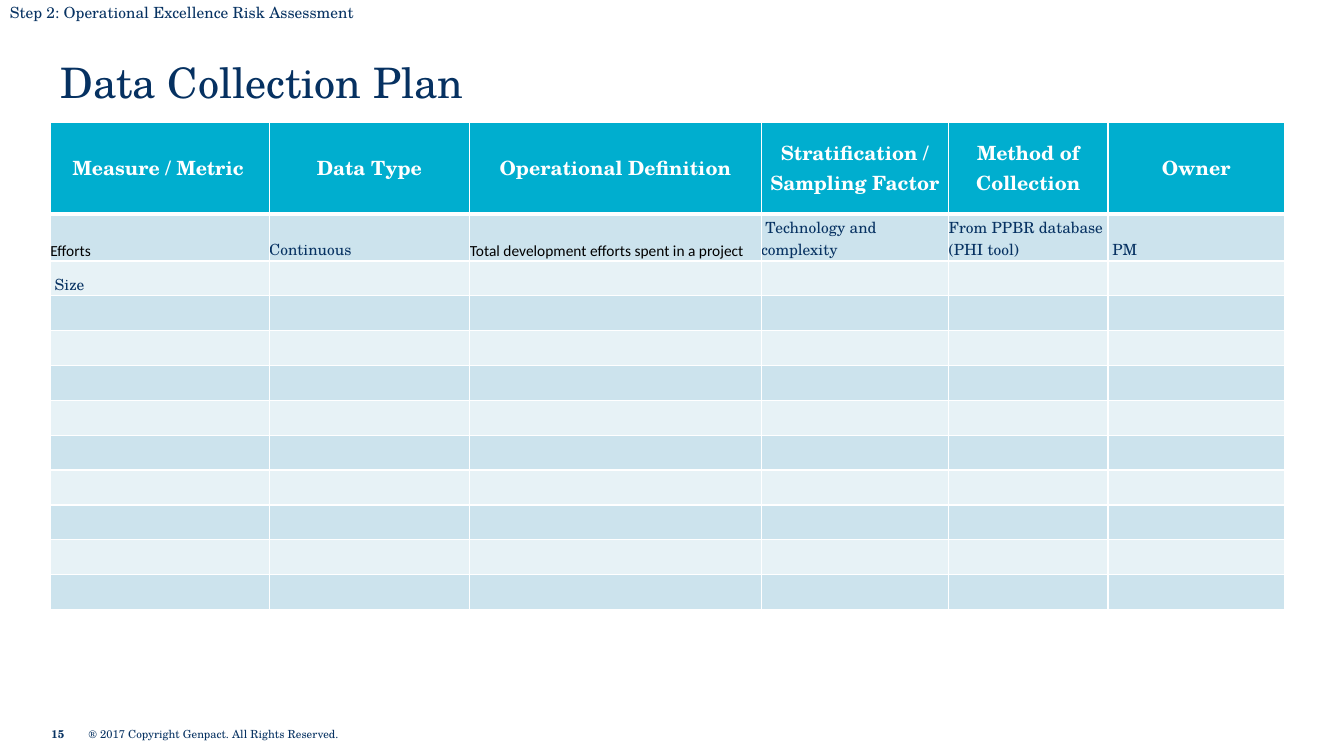
from lxml.etree import SubElement
from pptx import Presentation
from pptx.dml.color import RGBColor
from pptx.enum.text import MSO_ANCHOR as ANCHOR, PP_ALIGN as ALIGN
from pptx.oxml.ns import qn
from pptx.util import Inches, Pt

SERIF, SANS = "TeX Gyre Schola", "Calibri"
NAVY, TITLE_NAVY, WHITE, BLACK = "073262", "063161", "FFFFFF", "000000"
HEADER_FILL, BANDS = "00AECF", ("CCE3ED", "E7F2F6")
BODY = {"size": Pt(11), "name": SERIF, "color": NAVY}
BODY_SANS = {"size": Pt(11), "name": SANS, "color": BLACK}
HEADER = {"size": Pt(14), "name": SERIF, "color": WHITE, "bold": True}
FOOTER = {"size": Pt(8), "name": SERIF, "color": NAVY}
NO_MARGINS = dict.fromkeys(
    ("margin_left", "margin_top", "margin_right", "margin_bottom"), 0)

COL_WIDTHS = (2.17, 1.99, 2.89, 1.86, 1.58, 1.75)
BODY_ROWS = 11
# Header, then the two-line entry, then equal single-line rows
ROW_HEIGHTS = (0.91, 0.47) + (3.46 / (BODY_ROWS - 1),) * (BODY_ROWS - 1)
HEADINGS = ("Measure / Metric", "Data Type", "Operational Definition",
            "Stratification / Sampling Factor", "Method of Collection", "Owner")
ENTRIES = (
    ("Efforts", "Continuous", "Total development efforts spent in a project",
     " Technology and complexity", "From PPBR database (PHI tool)", " PM"),
    (" Size",),
)
SANS_COLUMNS = {(0, 0), (0, 2)}  # (entry, column)


def rgb(value):
    return RGBColor.from_string(value)


def set_attrs(obj, values):
    for name, value in values.items():
        setattr(obj, name, value)


def write(tf, text, style, align=ALIGN.LEFT):
    p = tf.paragraphs[0]
    p.alignment = align
    r = p.add_run()
    r.text = text
    set_attrs(r.font, {k: v for k, v in style.items() if k != "color"})
    r.font.color.rgb = rgb(style["color"])


def add_text(slide, box, text, style, anchor=ANCHOR.MIDDLE, frame=None):
    tf = slide.shapes.add_textbox(*map(Inches, box)).text_frame
    set_attrs(tf, {"word_wrap": True, "vertical_anchor": anchor, **(frame or {})})
    write(tf, text, style)


def set_borders(cell, top=1, bottom=1):
    """Draw white cell borders; widths are in points."""
    tc_pr = cell._tc.get_or_add_tcPr()
    for side, width in (("L", 1), ("R", 1), ("T", top), ("B", bottom)):
        ln = SubElement(tc_pr, qn(f"a:ln{side}"), w=str(Pt(width)))
        fill = SubElement(ln, qn("a:solidFill"))
        SubElement(fill, qn("a:srgbClr"), val=WHITE)


def format_cell(cell, fill, anchor, **borders):
    set_attrs(cell, {**NO_MARGINS, "vertical_anchor": anchor})
    set_borders(cell, **borders)
    cell.fill.solid()
    cell.fill.fore_color.rgb = rgb(fill)


def add_plan_table(slide):
    box = map(Inches, (0.5, 1.21, sum(COL_WIDTHS), sum(ROW_HEIGHTS)))
    table = slide.shapes.add_table(BODY_ROWS + 1, len(COL_WIDTHS), *box).table
    for col, width in zip(table.columns, COL_WIDTHS):
        col.width = Inches(width)
    for row, height in zip(table.rows, ROW_HEIGHTS):
        row.height = Inches(height)

    for c, heading in enumerate(HEADINGS):
        cell = table.cell(0, c)
        format_cell(cell, HEADER_FILL, ANCHOR.MIDDLE, bottom=3)
        write(cell.text_frame, heading, HEADER, ALIGN.CENTER if c else ALIGN.LEFT)
    table.cell(0, 0).margin_left = Inches(0.22)

    for i in range(BODY_ROWS):
        for c in range(len(COL_WIDTHS)):
            format_cell(table.cell(i + 1, c), BANDS[i % 2], ANCHOR.BOTTOM,
                        top=1 if i else 3)
    for i, entry in enumerate(ENTRIES):
        for c, text in enumerate(entry):
            style = BODY_SANS if (i, c) in SANS_COLUMNS else BODY
            write(table.cell(i + 1, c).text_frame, text, style)


def main():
    prs = Presentation()
    set_attrs(prs, {"slide_width": Inches(13.33), "slide_height": Inches(7.5)})
    slide = prs.slides.add_slide(prs.slide_layouts[6])
    add_text(slide, (0.51, 7.16, 0.35, 0.24), "15", {**FOOTER, "bold": True},
             frame=NO_MARGINS)
    add_text(slide, (0.88, 7.16, 2.58, 0.24),
             "® 2017 Copyright Genpact. All Rights Reserved.", FOOTER,
             frame=NO_MARGINS)
    add_text(slide, (0.5, 0.52, 7.91, 0.58), "Data Collection Plan",
             {"size": Pt(30), "name": SERIF, "color": TITLE_NAVY})
    add_plan_table(slide)
    add_text(slide, (0, -0.02, 5.44, 0.29),
             "Step 2: Operational Excellence Risk Assessment", BODY, ANCHOR.TOP)
    prs.save("out.pptx")


if __name__ == "__main__":
    main()
